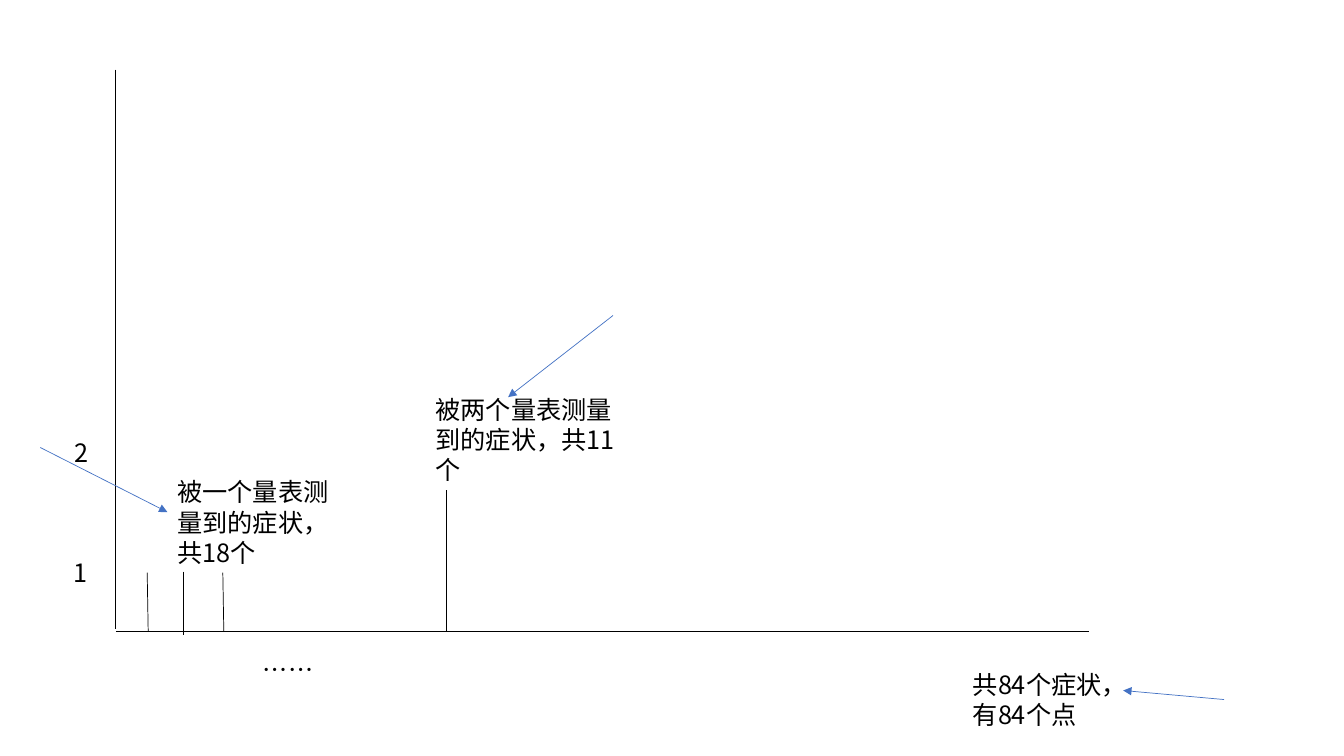
"""Builds the sketch of how many symptoms each number of scales measures."""
from typing import NamedTuple

from lxml.etree import SubElement
from pptx import Presentation
from pptx.dml.color import RGBColor
from pptx.enum.shapes import MSO_CONNECTOR
from pptx.enum.text import MSO_AUTO_SIZE
from pptx.oxml.ns import qn
from pptx.shapes.shapetree import SlideShapes
from pptx.util import Emu, Pt

PX = 9144
FONT = "Noto Sans CJK SC"
BLACK = "000000"
BLUE = "4472C4"


class Stroke(NamedTuple):
    """A straight line between two points in px."""

    x1: int
    y1: int
    x2: int
    y2: int


class Label(NamedTuple):
    """A text with its box in px."""

    text: str
    left: int
    top: int
    width: int
    height: int


AXES = [Stroke(114, 69, 114, 624), Stroke(115, 626, 1080, 626)]
SYMPTOM_BARS = [
    Stroke(146, 568, 147, 626),
    Stroke(182, 567, 182, 630),
    Stroke(221, 568, 222, 626),
    Stroke(443, 626, 443, 486),
]
POINTERS = [
    Stroke(40, 444, 166, 508),
    Stroke(608, 313, 504, 394),
    Stroke(1214, 694, 1114, 685),
]
LABELS = [
    Label("1", 63, 548, 33, 40),
    Label("2", 64, 429, 54, 40),
    Label("被一个量表测量到的症状，共18个", 166, 468, 190, 101),
    Label("被两个量表测量到的症状，共11个", 422, 386, 215, 101),
    Label("……", 251, 644, 98, 40),
    Label("共84个症状，有84个点", 955, 659, 182, 71),
]


def px(length: int) -> Emu:
    """Turn px into EMU."""
    return Emu(length * PX)


def rgb(colour: str) -> RGBColor:
    """Turn a hex string into a colour."""
    return RGBColor.from_string(colour)


def draw_stroke(shapes: SlideShapes, stroke: Stroke, colour: str, arrow: bool = False) -> None:
    """Draw a thin line, with an arrowhead at its end if asked for."""
    connector = shapes.add_connector(MSO_CONNECTOR.STRAIGHT, *map(px, stroke))
    connector.line.width = Pt(0.5)
    connector.line.color.rgb = rgb(colour)
    if arrow:
        SubElement(connector.line._get_or_add_ln(), qn("a:tailEnd"), type="triangle")
    SubElement(connector._element.spPr, qn("a:effectLst"))


def draw_label(shapes: SlideShapes, label: Label) -> None:
    """Write a label that wraps inside its box."""
    text, *box = label
    frame = shapes.add_textbox(*map(px, box)).text_frame
    frame.word_wrap = True
    frame.auto_size = MSO_AUTO_SIZE.SHAPE_TO_FIT_TEXT
    frame.text = text
    run = frame.paragraphs[0].runs[0]
    run.font.size = Pt(18)
    run.font.name = FONT
    run.font.color.rgb = rgb(BLACK)
    SubElement(run._r.get_or_add_rPr(), qn("a:ea"), typeface=FONT)


def main() -> None:
    """Build and save the slide."""
    deck = Presentation()
    deck.slide_width, deck.slide_height = px(1333), px(750)
    shapes = deck.slides.add_slide(deck.slide_layouts[6]).shapes
    for stroke in AXES + SYMPTOM_BARS:
        draw_stroke(shapes, stroke, BLACK)
    for pointer in POINTERS:
        draw_stroke(shapes, pointer, BLUE, arrow=True)
    for label in LABELS:
        draw_label(shapes, label)
    deck.save("out.pptx")


if __name__ == "__main__":
    main()
